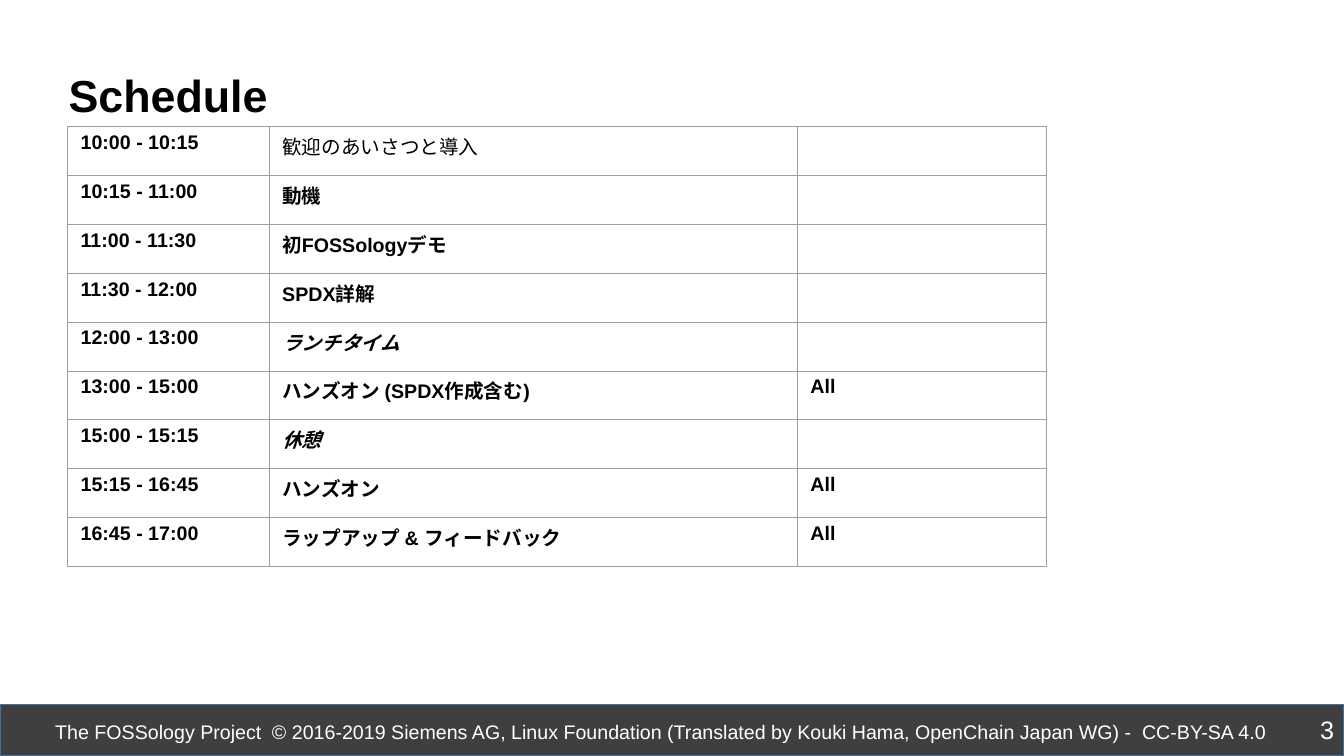
"""Build the workshop schedule slide with its timetable and footer."""
from dataclasses import dataclass

import lxml.etree
import pptx
import pptx.dml.color
import pptx.enum.shapes
import pptx.enum.text
import pptx.oxml.ns
import pptx.util

Pt = pptx.util.Pt
Align = pptx.enum.text.PP_ALIGN
Anchor = pptx.enum.text.MSO_ANCHOR

COLORS = {
    "text": "000000",
    "light": "FFFFFF",
    "footer": "3F3F3F",
    "footer_line": "42719B",
    "grid": "9E9E9E",
}
FONT = "Arial"
PAGE_WIDTH, PAGE_HEIGHT = 960, 540
FOOTER_TOP, FOOTER_HEIGHT = 503.28, 36.72
COLUMN_WIDTHS = (144, 377.28, 177.84)
ROW_HEIGHT = 34.95


@dataclass
class Label:
    text: str
    left: float
    top: float
    width: float
    height: float
    size: float
    color: str = "light"
    bold: bool = False
    insets: tuple[float, float, float, float] = (7.2, 7.2, 7.2, 7.2)
    anchor: Anchor = Anchor.MIDDLE
    align: Align = Align.LEFT
    line_spacing: float = 1.0
    grow: bool = False


@dataclass
class Session:
    time: str
    topic: str
    people: str = ""
    bold: bool = True
    italic: bool = False


LABELS = [
    Label("© 2016-2019 Siemens AG, Linux Foundation (Translated by Kouki Hama, "
          "OpenChain Japan WG) -  CC-BY-SA 4.0",
          187.2, FOOTER_TOP, 725.04, FOOTER_HEIGHT, 14, line_spacing=1.1),
    Label("The FOSSology Project", 32.4, FOOTER_TOP, 341.28, FOOTER_HEIGHT, 14,
          line_spacing=1.1),
    Label("3", 912, 506.88, 48, 28.8, 18, insets=(7.2, 3.6, 7.2, 3.6),
          anchor=Anchor.TOP, align=Align.RIGHT, grow=True),
    Label("Schedule", 0, 0, PAGE_WIDTH, 100, 32, "text", bold=True,
          insets=(48.96, 30.96, 167.04, 18.72), anchor=Anchor.BOTTOM),
]

SESSIONS = [
    Session("10:00 - 10:15", "歓迎のあいさつと導入", bold=False),
    Session("10:15 - 11:00", "動機"),
    Session("11:00 - 11:30", "初FOSSologyデモ"),
    Session("11:30 - 12:00", "SPDX詳解"),
    Session("12:00 - 13:00", "ランチタイム", italic=True),
    Session("13:00 - 15:00", "ハンズオン (SPDX作成含む)", "All"),
    Session("15:00 - 15:15", "休憩", italic=True),
    Session("15:15 - 16:45", "ハンズオン", "All"),
    Session("16:45 - 17:00", "ラップアップ & フィードバック", "All"),
]


def rgb(name: str) -> pptx.dml.color.RGBColor:
    return pptx.dml.color.RGBColor.from_string(COLORS[name])


def style_font(font, size: float, color: str, bold: bool = False,
               italic: bool = False) -> None:
    font.name = FONT
    font.size = Pt(size)
    font.bold = bold
    font.italic = italic
    font.color.rgb = rgb(color)


def add_footer_bar(page) -> None:
    bar = page.shapes.add_shape(
        pptx.enum.shapes.MSO_SHAPE.RECTANGLE,
        Pt(0), Pt(FOOTER_TOP), Pt(PAGE_WIDTH), Pt(FOOTER_HEIGHT))
    bar.shadow.inherit = False
    bar.fill.solid()
    bar.fill.fore_color.rgb = rgb("footer")
    bar.line.color.rgb = rgb("footer_line")
    bar.line.width = Pt(1)


def add_label(page, label: Label) -> None:
    box = page.shapes.add_textbox(
        Pt(label.left), Pt(label.top), Pt(label.width), Pt(label.height))
    frame = box.text_frame
    frame.text = label.text
    frame.word_wrap = True
    frame.vertical_anchor = label.anchor
    if label.grow:
        frame.auto_size = pptx.enum.text.MSO_AUTO_SIZE.SHAPE_TO_FIT_TEXT
    (frame.margin_left, frame.margin_top,
     frame.margin_right, frame.margin_bottom) = map(Pt, label.insets)
    para = frame.paragraphs[0]
    para.alignment = label.align
    para.line_spacing = label.line_spacing
    style_font(para.runs[0].font, label.size, label.color, label.bold)


def add_borders(cell) -> None:
    properties = cell._tc.get_or_add_tcPr()
    qn = pptx.oxml.ns.qn
    for side in ("a:lnL", "a:lnR", "a:lnT", "a:lnB"):
        line = lxml.etree.SubElement(properties, qn(side), w=str(Pt(0.75)))
        fill = lxml.etree.SubElement(line, qn("a:solidFill"))
        lxml.etree.SubElement(fill, qn("a:srgbClr"), val=COLORS["grid"])


def fill_cell(cell, text: str, bold: bool = True, italic: bool = False) -> None:
    add_borders(cell)
    cell.fill.solid()
    cell.fill.fore_color.rgb = rgb("light")
    cell.margin_left = cell.margin_right = Pt(9.36)
    cell.margin_top = cell.margin_bottom = Pt(3.6)
    cell.text_frame.text = text
    for span in cell.text_frame.paragraphs[0].runs:
        style_font(span.font, 14, "text", bold, italic)


def add_timetable(page) -> None:
    table = page.shapes.add_table(
        len(SESSIONS), len(COLUMN_WIDTHS), Pt(48.24), Pt(90.4),
        Pt(sum(COLUMN_WIDTHS)), Pt(ROW_HEIGHT * len(SESSIONS))).table
    table.first_row = False
    table.horz_banding = False
    for column, width in zip(table.columns, COLUMN_WIDTHS):
        column.width = Pt(width)
    for row, session in zip(table.rows, SESSIONS):
        row.height = Pt(ROW_HEIGHT)
        time, topic, people = row.cells
        fill_cell(time, session.time)
        fill_cell(topic, session.topic, session.bold, session.italic)
        fill_cell(people, session.people)


def main() -> None:
    deck = pptx.Presentation()
    deck.slide_width, deck.slide_height = Pt(PAGE_WIDTH), Pt(PAGE_HEIGHT)
    page = deck.slides.add_slide(deck.slide_layouts[6])
    add_footer_bar(page)
    for label in LABELS:
        add_label(page, label)
    add_timetable(page)
    deck.save("out.pptx")


if __name__ == "__main__":
    main()
